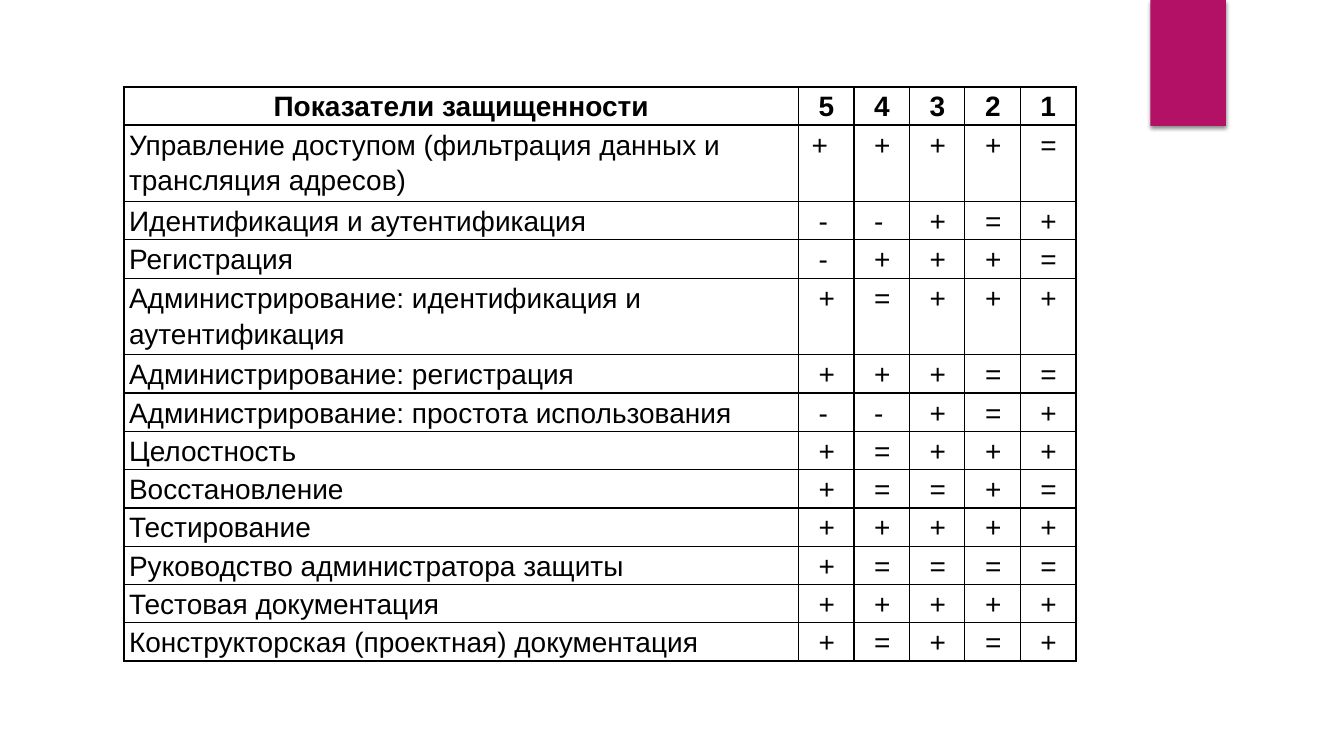
from lxml import etree
from pptx import Presentation
from pptx import util as u
from pptx.dml.color import RGBColor
from pptx.enum import shapes, text
from pptx.oxml import ns

HEADER = ("Показатели защищенности", "54321")
INDICATORS = [
    ("Управление доступом (фильтрация данных и трансляция адресов)", "++++="),
    ("Идентификация и аутентификация", "--+=+"),
    ("Регистрация", "-+++="),
    ("Администрирование: идентификация и аутентификация", "+=+++"),
    ("Администрирование: регистрация", "+++=="),
    ("Администрирование: простота использования", "--+=+"),
    ("Целостность", "+=+++"),
    ("Восстановление", "+==+="),
    ("Тестирование", "+++++"),
    ("Руководство администратора защиты", "+===="),
    ("Тестовая документация", "+++++"),
    ("Конструкторская (проектная) документация", "+=+=+"),
]
TWO_LINE_ROWS = (1, 4)
COLUMN_WIDTHS = [6.69] + [0.55] * 5
LINE_HEIGHT = 0.38
PADDING, MARK_INDENT = 0.05, 0.2


def rgb(value):
    return RGBColor.from_string(value)


def add_xml(parent, tag, **attributes):
    return etree.SubElement(parent, ns.qn(tag), attributes)


class SlideBuilder:
    font, size = "Arial", 20
    ink, accent = "000000", "B31166"
    inner_line, outer_line = 1, 1.5

    def __init__(self, s):
        self.s = s

    def accent_block(self, left, top, width, height):
        sp = self.s.shapes.add_shape(
            shapes.MSO_SHAPE.RECTANGLE, *map(u.Inches, (left, top, width, height)))
        sp.fill.solid()
        sp.fill.fore_color.rgb = rgb(self.accent)
        sp.line.fill.background()
        sp.shadow.inherit = False
        effects = sp._element.spPr.find(ns.qn("a:effectLst"))
        shadow = add_xml(effects, "a:outerShdw", blurRad=str(u.Pt(3)),
                         dist=str(u.Pt(2)), dir="5400000", rotWithShape="0")
        add_xml(add_xml(shadow, "a:srgbClr", val=self.ink), "a:alpha", val="45000")

    def borders(self, cell, widths):
        tcPr = cell._tc.get_or_add_tcPr()
        for i, (side, width) in enumerate(zip("LRTB", widths)):
            line = add_xml(tcPr, f"a:ln{side}", w=str(u.Pt(width)))
            add_xml(add_xml(line, "a:solidFill"), "a:srgbClr", val=self.ink)
            tcPr.insert(i, line)

    def cell(self, cell, words, indent, bold, align):
        cell.fill.background()
        cell.margin_left, cell.margin_right = u.Inches(indent), u.Inches(PADDING)
        cell.margin_top = cell.margin_bottom = 0
        p = cell.text_frame.paragraphs[0]
        p.text = words
        p.alignment = align
        p.line_spacing = 1.15
        p.font.name, p.font.size, p.font.bold = self.font, u.Pt(self.size), bold
        p.font.color.rgb = rgb(self.ink)

    def table(self, left, top, rows, widths, heights):
        frame = self.s.shapes.add_table(
            len(rows), len(widths),
            *map(u.Inches, (left, top, sum(widths), sum(heights))))
        table = frame.table
        table.first_row = table.horz_banding = False
        for column, width in zip(table.columns, widths):
            column.width = u.Inches(width)
        for row, height in zip(table.rows, heights):
            row.height = u.Inches(height)

        last_row, last_column = len(rows) - 1, len(widths) - 1
        for i, (label, marks) in enumerate(rows):
            for j, words in enumerate([label, *marks]):
                centred = i == 0 and j == 0
                align = text.PP_ALIGN.CENTER if centred else text.PP_ALIGN.LEFT
                # The first mark sits a little left of the others
                indent = PADDING if j == 0 else 0.13 if (i, j) == (1, 1) else MARK_INDENT
                cell = table.cell(i, j)
                self.cell(cell, words, indent, i == 0, align)
                edges = (j == 0, j == last_column, i == 0, i == last_row)
                self.borders(cell, [self.outer_line if edge else self.inner_line
                                    for edge in edges])


def main():
    prs = Presentation()
    prs.slide_width, prs.slide_height = u.Inches(13.33), u.Inches(7.5)
    slide = SlideBuilder(prs.slides.add_slide(prs.slide_layouts[6]))

    # Corner accent
    slide.accent_block(11.41, 0, 0.75, 1.25)

    # Security indicators by protection class
    rows = [HEADER, *INDICATORS]
    heights = [LINE_HEIGHT * (2 if i in TWO_LINE_ROWS else 1) for i in range(len(rows))]
    slide.table(1.23, 0.86, rows, COLUMN_WIDTHS, heights)

    prs.save("out.pptx")


if __name__ == "__main__":
    main()
